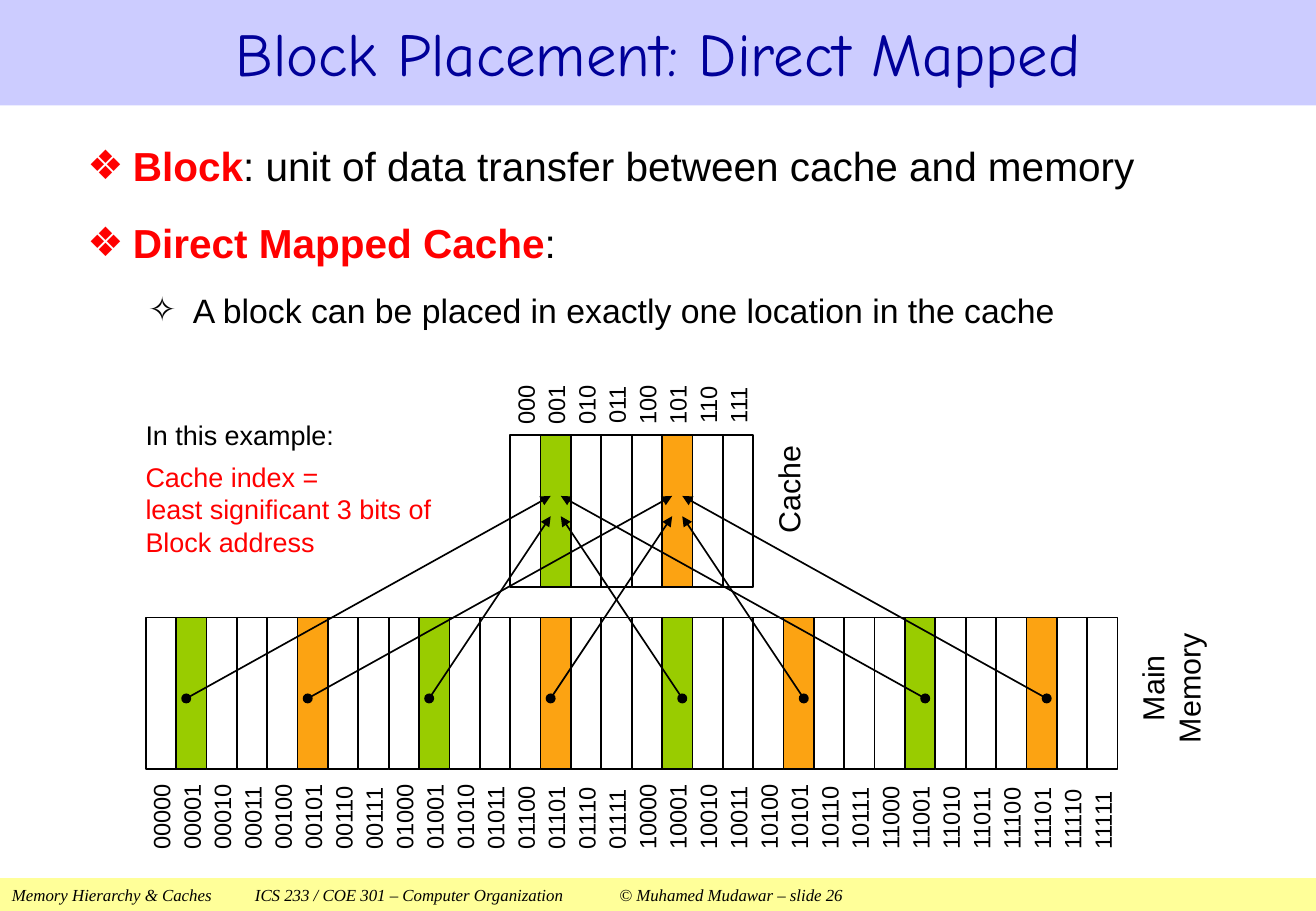
from dataclasses import dataclass
from lxml import etree
from pptx import Presentation
from pptx.dml.color import RGBColor
from pptx.enum import shapes, text
from pptx.oxml.ns import qn
from pptx.util import Pt

# Content
TITLE = "Block Placement: Direct Mapped"
# (level, red lead, black rest)
POINTS = [
    (0, "Block", ": unit of data transfer between cache and memory"),
    (0, "Direct Mapped Cache", ":"),
    (1, "", "A block can be placed in exactly one location in the cache"),
]
# (text, colour, space before)
NOTE = [
    ("In this example:", "black", 0),
    ("Cache index =", "red", 5.5),
    ("least significant 3 bits of Block address", "red", 0),
]
FOOT = ("Memory Hierarchy & Caches\tICS 233 / COE 301 – Computer Organization"
        "\t© Muhamed Mudawar – slide 26")
CACHE = {"bits": 3, "left": 302.4, "top": 258}
MEMORY = {"bits": 5, "left": 86.4, "top": 366}
HUES = {1: "green", 5: "orange"}  # cache index: colour


@dataclass(frozen=True)
class Theme:
    black: str = "000000"
    white: str = "FFFFFF"
    red: str = "FF0000"
    navy: str = "000099"
    lilac: str = "CCCCFF"
    yellow: str = "FFFF99"
    green: str = "99CC00"
    orange: str = "FCA312"
    sans: str = "Arial"
    head: str = "Comic Neue"
    serif: str = "Times New Roman"
    title: int = 36
    list: tuple = (24, 20)
    name: int = 18
    note: int = 16
    bit: int = 14
    foot: int = 10

    def rgb(self, hue):
        return RGBColor.from_string(getattr(self, hue))


T = Theme()
WIDE, HIGH = 780, 540
CELL_W, CELL_H = 18, 90
MARKS = ("❖", "red", 27, -27), ("✧", "black", 62.5, -26.5)
CENTER = text.PP_ALIGN.CENTER

deck = Presentation()
deck.slide_width, deck.slide_height = Pt(WIDE), Pt(HIGH)
slide = deck.slides.add_slide(deck.slide_layouts[1])
parts = slide.shapes


def place(shape, left, top, width, height):
    shape.left, shape.top = Pt(left), Pt(top)
    shape.width, shape.height = Pt(width), Pt(height)


def style(para, size, hue="black", face=T.sans):
    para.font.size, para.font.name = Pt(size), face
    para.font.color.rgb = T.rgb(hue)


def setup(frame, anchor=text.MSO_ANCHOR.TOP):
    frame.word_wrap = True
    frame.auto_size = text.MSO_AUTO_SIZE.NONE
    frame.vertical_anchor = anchor


def lines(frame, count):
    return [frame.paragraphs[0]] + [frame.add_paragraph() for _ in range(count - 1)]


def rect(left, top, width, height, fill, edge=None):
    box = parts.add_shape(shapes.MSO_SHAPE.RECTANGLE,
                          Pt(left), Pt(top), Pt(width), Pt(height))
    box.shadow.inherit = False
    box.fill.solid()
    box.fill.fore_color.rgb = T.rgb(fill)
    if edge:
        box.line.color.rgb, box.line.width = T.rgb(edge), Pt(1)
    else:
        box.line.fill.background()
    return box


def label(rows, mid_x, mid_y, width, height, size, align=None, inset=True):
    """Text turned to read upwards, centred on a point."""
    box = parts.add_textbox(Pt(mid_x - width / 2), Pt(mid_y - height / 2),
                            Pt(width), Pt(height))
    box.rotation = 270
    frame = box.text_frame
    setup(frame, text.MSO_ANCHOR.TOP if inset else text.MSO_ANCHOR.MIDDLE)
    if not inset:
        frame.margin_left = frame.margin_right = 0
        frame.margin_top = frame.margin_bottom = 0
    for para, row in zip(lines(frame, len(rows)), rows):
        para.text, para.alignment = row, align
        style(para, size)


def bullet(para, mark, hue, margin, indent):
    props = para._p.get_or_add_pPr()
    props.set("marL", str(Pt(margin)))
    props.set("indent", str(Pt(indent)))
    tint = etree.SubElement(props, qn("a:buClr"))
    etree.SubElement(tint, qn("a:srgbClr"), val=getattr(T, hue))
    etree.SubElement(props, qn("a:buFont"), typeface=T.sans)
    etree.SubElement(props, qn("a:buChar"), char=mark)


def store(bits, left, top, mid_y, width, align):
    """A row of cells, each with its binary address."""
    for k in range(2 ** bits):
        rect(left + k * CELL_W, top, CELL_W, CELL_H, HUES.get(k % 8, "white"), "black")
    for k in range(2 ** bits):
        label([f"{k:0{bits}b}"], left + (k + 0.5) * CELL_W, mid_y,
              width, CELL_W, T.bit, align, inset=False)


def arrow(x1, y1, x2, y2):
    line = parts.add_connector(shapes.MSO_CONNECTOR.STRAIGHT,
                               Pt(x1), Pt(y1), Pt(x2), Pt(y2))
    line.line.color.rgb, line.line.width = T.rgb("black"), Pt(1)
    props = line._element.spPr
    stroke = props.find(qn("a:ln"))
    etree.SubElement(stroke, qn("a:headEnd"), type="oval")
    etree.SubElement(stroke, qn("a:tailEnd"), type="triangle")
    etree.SubElement(props, qn("a:effectLst"))


# Title band
title = parts.title
place(title, 0, 0, WIDE, 62.5)
title.fill.solid()
title.fill.fore_color.rgb = T.rgb("lilac")
setup(title.text_frame, text.MSO_ANCHOR.MIDDLE)
para = title.text_frame.paragraphs[0]
para.text, para.alignment = TITLE, CENTER
style(para, T.title, "navy", T.head)

# Bullet list
body = slide.placeholders[1]
place(body, 44.6, 74.2, 695, 133)
setup(body.text_frame)
for para, (level, lead, rest) in zip(lines(body.text_frame, len(POINTS)), POINTS):
    size = T.list[level]
    para.level = level
    bullet(para, *MARKS[level])
    para.line_spacing, para.space_before = 1.2, Pt(size * 0.46)
    style(para, size)
    if lead:
        run = para.add_run()
        run.text, run.font.bold = lead, True
        run.font.color.rgb = T.rgb("red")
    para.add_run().text = rest

# Footer band
foot = rect(0, 520.6, WIDE, 19.4, "yellow")
setup(foot.text_frame, text.MSO_ANCHOR.MIDDLE)
para = foot.text_frame.paragraphs[0]
para.text, para.alignment = FOOT, text.PP_ALIGN.LEFT
style(para, T.foot, face=T.serif)
para.font.italic = True

# Memory and cache cells
store(**MEMORY, mid_y=482.8, width=42, align=text.PP_ALIGN.LEFT)
store(**CACHE, mid_y=240.1, width=36, align=CENTER)

# Arrows from memory blocks to their cache cell
for k in range(2 ** MEMORY["bits"]):
    if k % 8 in HUES:
        shift = 6 if k < 16 else 12
        far = k < 8 or k >= 24
        arrow(MEMORY["left"] + k * CELL_W + shift, 414,
              CACHE["left"] + k % 8 * CELL_W + shift, 294 if far else 306)

# Example note
note = parts.add_textbox(Pt(79.2), Pt(244.8), Pt(199.4), Pt(90)).text_frame
setup(note)
for para, (row, hue, gap) in zip(lines(note, len(NOTE)), NOTE):
    para.text, para.space_before = row, Pt(gap)
    style(para, T.note, hue)

# Names of the stores
label(["Cache"], 467.3, 289.4, 67.7, 28.8, T.name)
label(["Main", "Memory"], 694.1, 407.9, 85, 51.1, T.name, CENTER)

deck.save("out.pptx")
